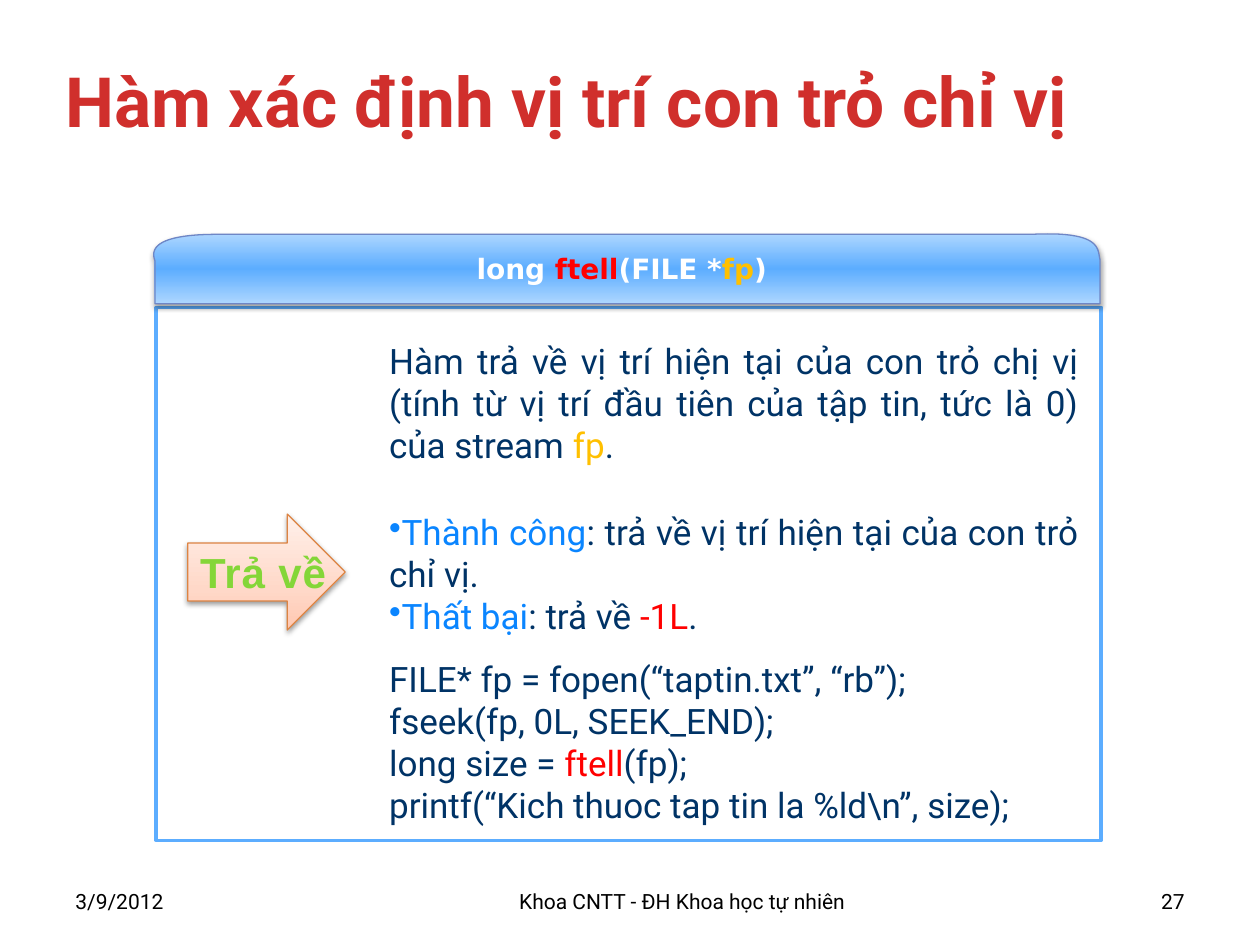
from lxml.etree import SubElement
from pptx import Presentation
from pptx.dml.color import RGBColor
from pptx.enum.shapes import MSO_SHAPE as SHAPE
from pptx.enum.text import MSO_ANCHOR as ANCHOR, PP_ALIGN as ALIGN
from pptx.oxml.ns import qn
from pptx.util import Inches, Pt

BLACK = RGBColor(0x00, 0x00, 0x00)
WHITE = RGBColor(0xFF, 0xFF, 0xFF)
NAVY = RGBColor(0x00, 0x33, 0x66)
BLUE = RGBColor(0x0A, 0x85, 0xFF)
SKY = RGBColor(0x5C, 0xAD, 0xFF)
PALE_SKY = RGBColor(0xAD, 0xD6, 0xFF)
PERIWINKLE = RGBColor(0x6E, 0x86, 0xC6)
RED = RGBColor(0xFF, 0x00, 0x00)
GOLD = RGBColor(0xFF, 0xC0, 0x00)
ORANGE = RGBColor(0xDD, 0x84, 0x43)

TITLE_STOPS = [(0, RGBColor(0xFC, 0x7C, 0x7A)), (75, RGBColor(0xD0, 0x2F, 0x2C)),
               (100, RGBColor(0xC7, 0x05, 0x00))]
ARROW_STOPS = [(0, RGBColor(0xFF, 0xC8, 0xB1)), (35, RGBColor(0xFF, 0xD8, 0xC8)),
               (100, RGBColor(0xFF, 0xF0, 0xEA))]
GREEN_STOPS = [(25, RGBColor(0x84, 0xD6, 0x38)), (100, RGBColor(0x5D, 0x9B, 0x24))]
HEADER_STOPS = [(0, PALE_SKY), (50, SKY), (100, PALE_SKY)]


def set_gradient(fill, parent, stops, angle):
    fill.gradient()
    grad = parent.find(qn("a:gradFill"))
    for child in list(grad):
        grad.remove(child)
    stop_list = SubElement(grad, qn("a:gsLst"))
    for pos, color in stops:
        stop = SubElement(stop_list, qn("a:gs"), pos=str(pos * 1000))
        SubElement(stop, qn("a:srgbClr"), val=str(color))
    SubElement(grad, qn("a:lin"), ang=str(angle * 60000), scaled="0")


def set_shadow(s, alpha, distance):
    effects = s._element.spPr.find(qn("a:effectLst"))
    shadow = SubElement(effects, qn("a:outerShdw"), blurRad=str(Pt(3.1)),
                        dist=str(Pt(distance)), dir="5400000", rotWithShape="0")
    color = SubElement(shadow, qn("a:srgbClr"), val=str(BLACK))
    SubElement(color, qn("a:alpha"), val=str(alpha * 1000))


def style_shape(s, line, width):
    s.shadow.inherit = False
    s.line.color.rgb = line
    s.line.width = Pt(width)


def add_run(p, text, size, color=None, font="Roboto", bold=False):
    r = p.add_run()
    r.text = text
    r.font.size = Pt(size)
    r.font.name = font
    r.font.bold = bold
    if color is not None:
        r.font.color.rgb = color
    return r


def prepare_frame(s, wrap=True):
    tf = s.text_frame
    tf.word_wrap = wrap
    tf.vertical_anchor = ANCHOR.MIDDLE
    return tf


def add_title(slide, text):
    title = slide.shapes.title
    title.left, title.top = Inches(0.42), Inches(0.17)
    title.width, title.height = Inches(9.42), Inches(1.25)
    p = prepare_frame(title).paragraphs[0]
    p.alignment = ALIGN.LEFT
    r = add_run(p, text, 39.6, bold=True)
    set_gradient(r.font.fill, r._r.rPr, TITLE_STOPS, 90)


def add_footer(slide, text, left, width, align):
    s = slide.shapes.add_textbox(Inches(left), Inches(6.95), Inches(width), Inches(0.4))
    p = prepare_frame(s).paragraphs[0]
    p.alignment = align
    add_run(p, text, 12, BLACK)


def add_frame(slide):
    s = slide.shapes.add_shape(SHAPE.ROUNDED_RECTANGLE, Inches(1.24), Inches(2.44),
                               Inches(7.5), Inches(4.23))
    s.adjustments[0] = 0
    s.fill.background()
    style_shape(s, SKY, 2)


def add_panel(slide, top, paragraphs, bullet=False):
    s = slide.shapes.add_shape(SHAPE.RECTANGLE, Inches(2.99), Inches(top),
                               Inches(5.67), Inches(1.27))
    s.fill.solid()
    s.fill.fore_color.rgb = WHITE
    style_shape(s, WHITE, 2)
    tf = prepare_frame(s)
    for i, runs in enumerate(paragraphs):
        p = tf.add_paragraph() if i else tf.paragraphs[0]
        p.alignment = ALIGN.JUSTIFY
        if bullet:
            SubElement(p._p.get_or_add_pPr(), qn("a:buChar"), char="•")
        for text, color in runs:
            add_run(p, text, 20, color)


def add_arrow(slide, text):
    s = slide.shapes.add_shape(SHAPE.RIGHT_ARROW, Inches(1.49), Inches(4.08),
                               Inches(1.25), Inches(0.92))
    set_gradient(s.fill, s._element.spPr, ARROW_STOPS, 270)
    style_shape(s, ORANGE, 0.75)
    set_shadow(s, 38, 1.6)
    p = prepare_frame(s, wrap=False).paragraphs[0]
    p.alignment = ALIGN.LEFT
    r = add_run(p, text, 24, font="Arial", bold=True)
    r._r.rPr.set("spc", "50")
    set_gradient(r.font.fill, r._r.rPr, GREEN_STOPS, 90)


def curve(a, b, c, d, steps=24):
    for i in range(1, steps + 1):
        t = i / steps
        u = 1 - t
        yield tuple(u**3 * w + 3 * u * u * t * x + 3 * u * t * t * y + t**3 * z
                    for w, x, y, z in zip(a, b, c, d))


def add_header(slide, runs):
    right_corner = curve((8.73, 2.06), (8.71, 1.98), (8.75, 1.83), (8.18, 1.86))
    left_corner = curve((1.77, 1.86), (1.13, 1.85), (1.22, 2.03), (1.23, 2.07))
    points = [(1.23, 2.41), (8.73, 2.41), (8.73, 2.06),
              *right_corner, (1.77, 1.86), *left_corner]
    builder = slide.shapes.build_freeform(Inches(1.23), Inches(2.07))
    builder.add_line_segments([(Inches(x), Inches(y)) for x, y in points])
    s = builder.convert_to_shape()
    set_gradient(s.fill, s._element.spPr, HEADER_STOPS, 90)
    style_shape(s, PERIWINKLE, 0.75)
    set_shadow(s, 35, 1.8)
    tf = prepare_frame(s, wrap=False)
    tf.margin_right = Inches(0.18)
    p = tf.paragraphs[0]
    p.alignment = ALIGN.CENTER
    for text, color in runs:
        add_run(p, text, 16, color, "DejaVu Sans", True)


def main():
    prs = Presentation()
    prs.slide_width, prs.slide_height = Inches(10), Inches(7.5)
    slide = prs.slides.add_slide(prs.slide_layouts[5])
    add_title(slide, "Hàm xác định vị trí con trỏ chỉ vị")
    add_footer(slide, "3/9/2012", 0.5, 1.08, ALIGN.LEFT)
    add_footer(slide, "Khoa CNTT - ĐH Khoa học tự nhiên", 2.08, 6.67, ALIGN.CENTER)
    add_footer(slide, "27", 8.92, 0.58, ALIGN.RIGHT)
    add_frame(slide)
    add_panel(slide, 2.56, [
        [("Hàm trả về vị trí hiện tại của con trỏ chị vị (tính từ vị trí đầu tiên "
          "của tập tin, tức là 0) của stream ", NAVY), ("fp", GOLD), (".", NAVY)],
    ])
    add_panel(slide, 3.92, [
        [("Thành công", BLUE), (": trả về vị trí hiện tại của con trỏ chỉ vị.", NAVY)],
        [("Thất bại", BLUE), (": trả về ", NAVY), ("-1L", RED), (".", NAVY)],
    ], bullet=True)
    add_panel(slide, 5.25, [
        [("FILE* fp = fopen(“taptin.txt”, “rb”);", NAVY)],
        [("fseek(fp, 0L, SEEK_END);", NAVY)],
        [("long size = ", NAVY), ("ftell", RED), ("(fp);", NAVY)],
        [("printf(“Kich thuoc tap tin la %ld\\n”, size);", NAVY)],
    ])
    add_arrow(slide, "Trả về")
    add_header(slide, [("long ", WHITE), ("ftell", RED), ("(FILE *", WHITE),
                       ("fp", GOLD), (")", WHITE)])
    prs.save("out.pptx")


if __name__ == "__main__":
    main()
